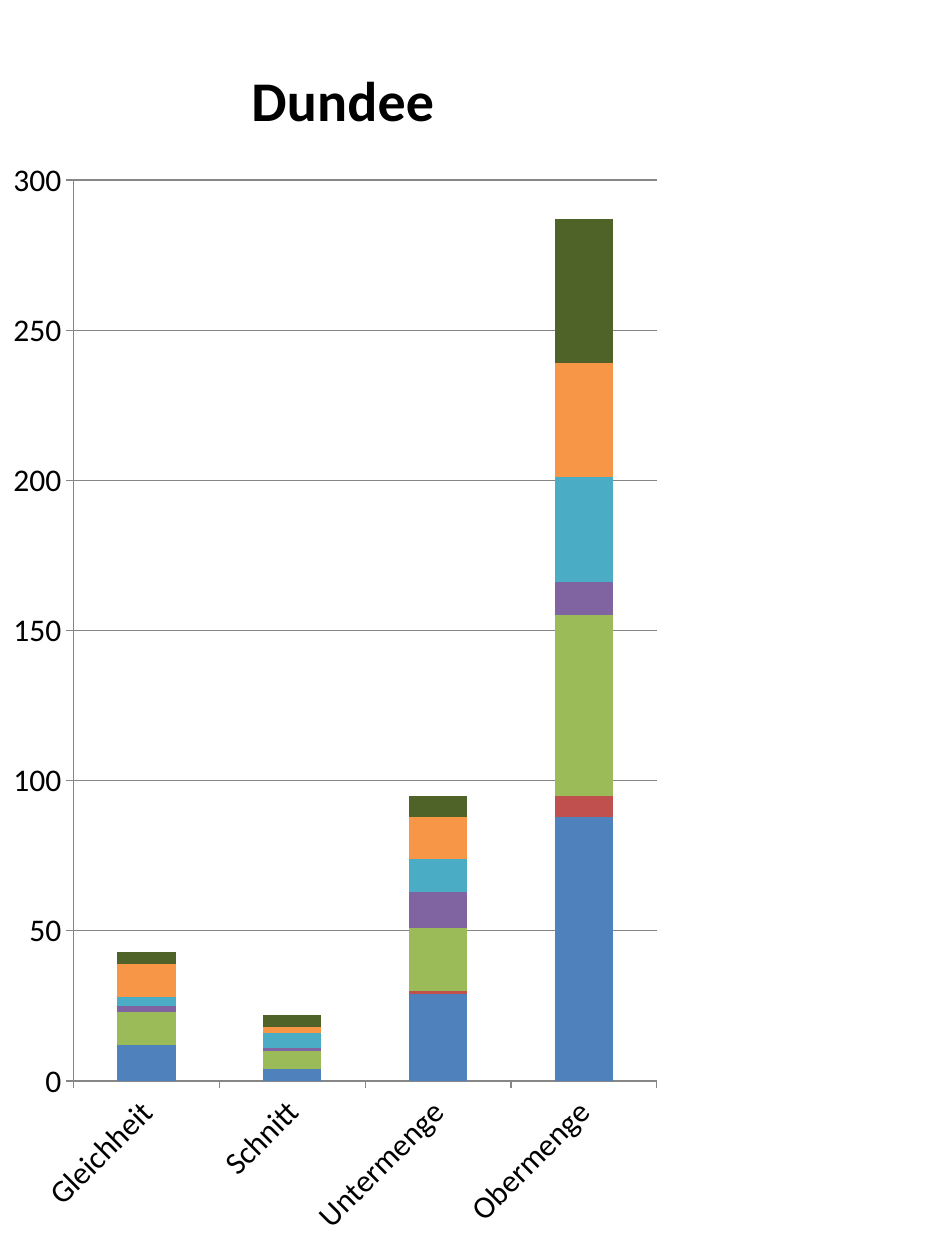
from lxml.etree import SubElement
from pptx import Presentation
from pptx.chart.data import CategoryChartData
from pptx.dml.color import RGBColor
from pptx.enum.chart import XL_CHART_TYPE, XL_TICK_MARK
from pptx.oxml.ns import qn
from pptx.util import Inches, Pt

TITLE = "Dundee"
CATEGORIES = ["Gleichheit", "Schnitt", "Untermenge", "Obermenge"]
SERIES = [
    ("Series 1", (12, 4, 29, 88), "blue"),
    ("Series 2", (0, 0, 1, 7), "red"),
    ("Series 3", (11, 6, 21, 60), "green"),
    ("Series 4", (2, 1, 12, 11), "purple"),
    ("Series 5", (3, 5, 11, 35), "teal"),
    ("Series 6", (11, 2, 14, 38), "orange"),
    ("Series 7", (4, 4, 7, 48), "olive"),
]
COLORS = {
    "blue": "4F81BD", "red": "C0504D", "green": "9BBB59", "purple": "8064A2",
    "teal": "4BACC6", "orange": "F79646", "olive": "4F6228",
    "text": "000000", "line": "868686",
}
TITLE_LAYOUT = {"xMode": "edge", "yMode": "edge", "x": 0.36, "y": 0.04}
PLOT_LAYOUT = {"layoutTarget": "inner", "xMode": "edge", "yMode": "edge",
               "x": 0.11, "y": 0.143, "w": 0.87, "h": 0.715}


def rgb(name):
    return RGBColor.from_string(COLORS[name])


def set_font(font, size, bold=False):
    font.name, font.size, font.bold = "Calibri", Pt(size), bold
    font.color.rgb = rgb("text")


def set_line(line):
    line.color.rgb = rgb("line")
    line.width = Pt(0.75)


def set_layout(parent, index, values):
    for old in parent.findall(qn("c:layout")):
        parent.remove(old)
    layout = SubElement(parent, qn("c:layout"))
    parent.insert(index, layout)
    manual = SubElement(layout, qn("c:manualLayout"))
    for tag, value in values.items():
        SubElement(manual, qn(f"c:{tag}")).set("val", str(value))


prs = Presentation()
prs.slide_width, prs.slide_height = Inches(7.5), Inches(10)
s = prs.slides.add_slide(prs.slide_layouts[6])

data = CategoryChartData()
data.categories = CATEGORIES
for name, values, _ in SERIES:
    data.add_series(name, values)
chart = s.shapes.add_chart(XL_CHART_TYPE.COLUMN_STACKED, 0, 0,
                           Inches(5.32), prs.slide_height, data).chart
chart.has_legend = False
set_font(chart.font, 18)

chart.has_title = True
title = chart.chart_title
p = title.text_frame.paragraphs[0]
p.text = TITLE
set_font(p.font, 32, True)
title.include_in_layout = False
set_layout(title._element, 1, TITLE_LAYOUT)

plot = chart.plots[0]
plot.gap_width, plot.overlap, plot.vary_by_categories = 150, 100, False
for series, (_, _, color) in zip(plot.series, SERIES):
    series.format.fill.solid()
    series.format.fill.fore_color.rgb = rgb(color)
set_layout(chart._chartSpace.chart.plotArea, 0, PLOT_LAYOUT)

for axis in (chart.category_axis, chart.value_axis):
    axis.major_tick_mark = XL_TICK_MARK.OUTSIDE
    axis.minor_tick_mark = XL_TICK_MARK.NONE
    set_line(axis.format.line)
    set_font(axis.tick_labels.font, 18)
body = chart.category_axis._element.find(qn("c:txPr")).find(qn("a:bodyPr"))
body.set("rot", str(-45 * 60000))

axis = chart.value_axis
axis.minimum_scale, axis.maximum_scale, axis.major_unit = 0, 300, 50
axis.has_major_gridlines = True
set_line(axis.major_gridlines.format.line)

prs.save("out.pptx")
